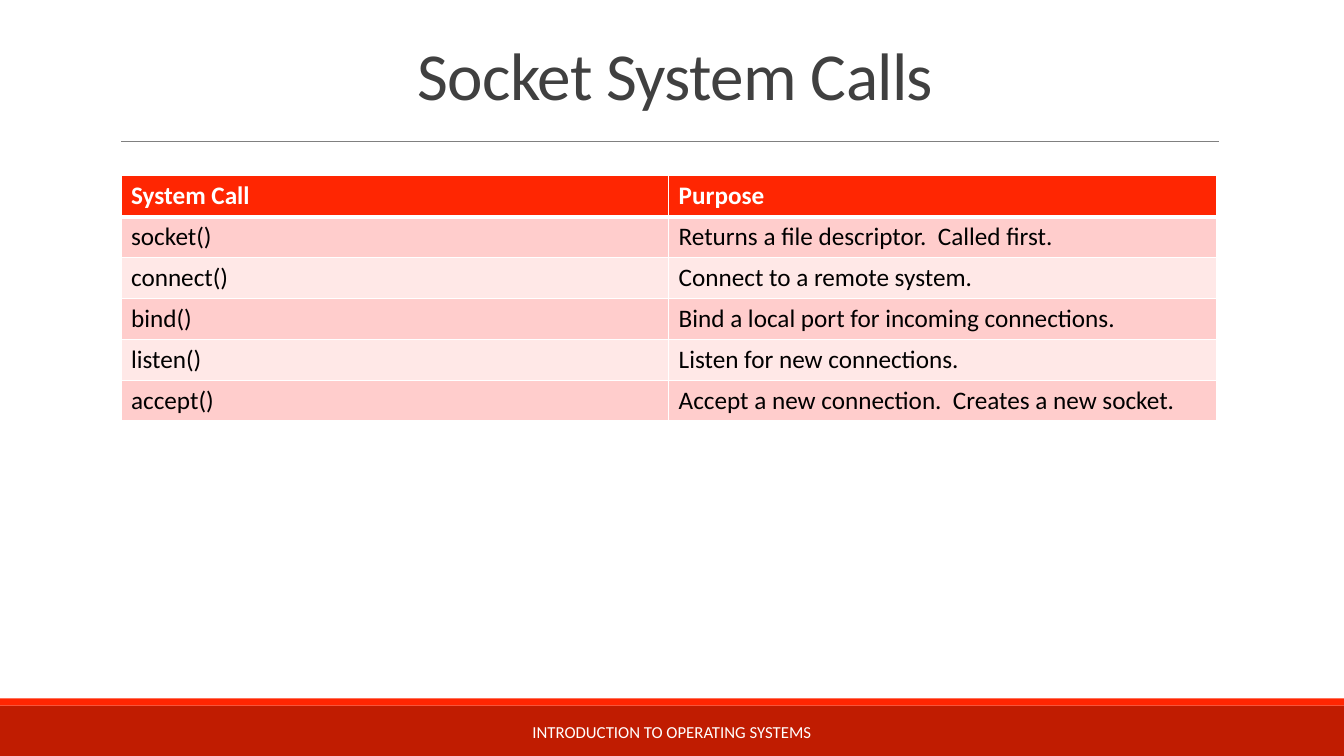
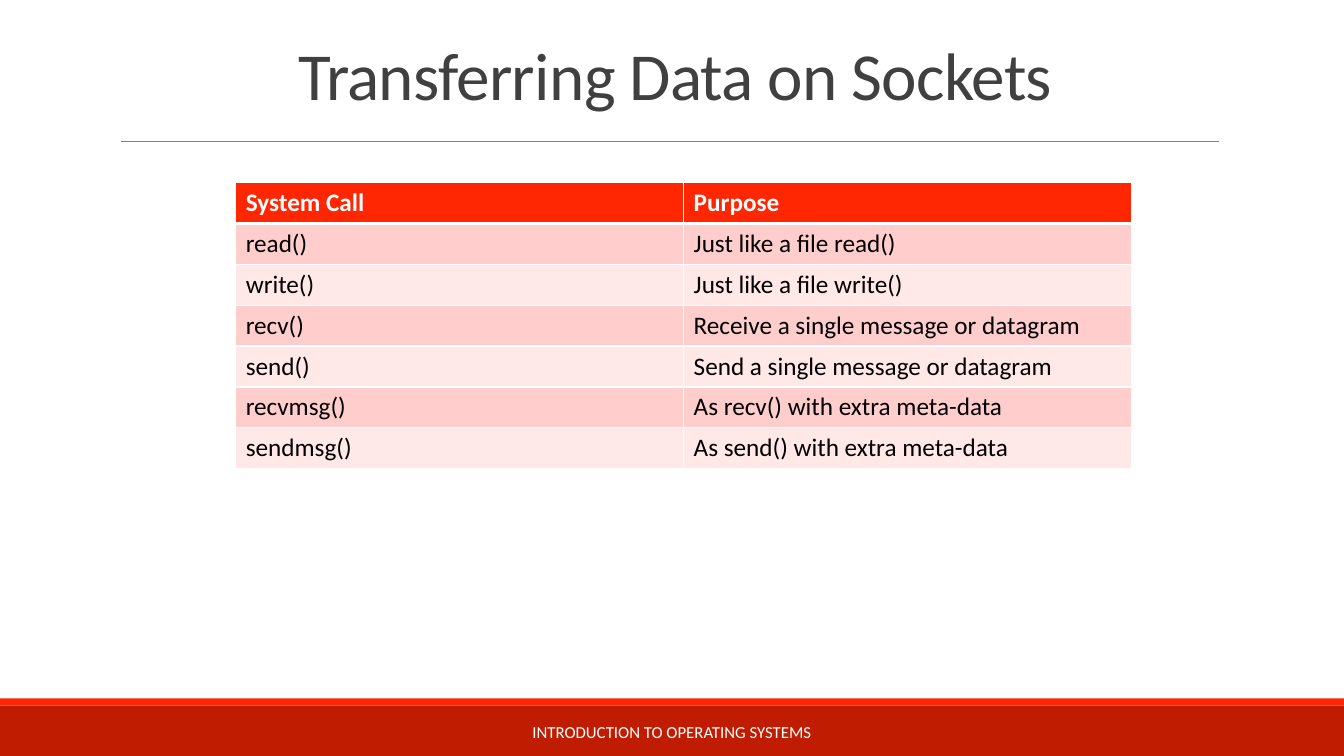
"""Builds two slides that list socket system calls in tables."""
from lxml import etree
from pptx import Presentation
from pptx.dml.color import RGBColor
from pptx.enum.shapes import MSO_CONNECTOR, MSO_SHAPE
from pptx.enum.text import MSO_ANCHOR, PP_ALIGN
from pptx.oxml.ns import qn
from pptx.util import Cm, Pt

RECTANGLE = MSO_SHAPE.RECTANGLE
STRAIGHT = MSO_CONNECTOR.STRAIGHT
MIDDLE = MSO_ANCHOR.MIDDLE
CENTER = PP_ALIGN.CENTER

WHITE = RGBColor(0xFF, 0xFF, 0xFF)
BLACK = RGBColor(0x00, 0x00, 0x00)
DARK_GRAY = RGBColor(0x40, 0x40, 0x40)
GRAY = RGBColor(0x80, 0x80, 0x80)
RED = RGBColor(0xFF, 0x26, 0x02)
DARK_RED = RGBColor(0xC0, 0x1C, 0x01)
PINK = RGBColor(0xFF, 0xCD, 0xCC)
PALE_PINK = RGBColor(0xFF, 0xE8, 0xE7)

WIDTH, HEIGHT = Cm(33.87), Cm(19.05)
MARGIN = 3.05
ROW_HEIGHT = Cm(1.03)
FOOTER = "INTRODUCTION TO OPERATING SYSTEMS"
HEADER = ("System Call", "Purpose")

TITLE_STYLE = {"size": Pt(48), "color": DARK_GRAY}
FOOTER_STYLE = {"size": Pt(12), "color": WHITE}
HEADER_STYLE = {"size": Pt(18), "color": WHITE, "bold": True}
BODY_STYLE = {"size": Pt(18), "color": BLACK, "bold": False}

TABLE_SLIDES = [
    {
        "title": "Socket System Calls",
        "left": MARGIN, "top": 4.43, "column_width": 13.8,
        "calls": [
            ("socket()", "Returns a file descriptor.  Called first."),
            ("connect()", "Connect to a remote system."),
            ("bind()", "Bind a local port for incoming connections."),
            ("listen()", "Listen for new connections."),
            ("accept()", "Accept a new connection.  Creates a new socket."),
        ],
    },
    {
        "title": "Transferring Data on Sockets",
        "left": 5.94, "top": 4.6, "column_width": 11.29,
        "calls": [
            ("read()", "Just like a file read()"),
            ("write()", "Just like a file write()"),
            ("recv()", "Receive a single message or datagram"),
            ("send()", "Send a single message or datagram"),
            ("recvmsg()", "As recv() with extra meta-data"),
            ("sendmsg()", "As send() with extra meta-data"),
        ],
    },
]


class Deck:
    """Holds the shared style and the current slide."""

    def __init__(self):
        """Start an empty presentation."""
        self.presentation = Presentation()
        self.presentation.slide_width = WIDTH
        self.presentation.slide_height = HEIGHT
        self.slide = None

    def add_slide(self, title):
        """Add a slide with its bands, rule, title and footer."""
        layout = self.presentation.slide_layouts[6]
        self.slide = self.presentation.slides.add_slide(layout)
        self.band(17.78, 1.27, DARK_RED)
        self.band(17.6, 0.18, RED)
        self.rule(MARGIN, 30.73, 3.56)
        paragraph = self.text(title, (MARGIN, 0.79, 27.94, 2.44), TITLE_STYLE)
        paragraph.line_spacing = 0.85
        paragraph.runs[0].font._element.set("spc", "-50")
        self.text(FOOTER, (10.24, 17.93, 13.39, 1.02), FOOTER_STYLE)

    def band(self, top, height, color):
        """Draw a band across the whole slide."""
        shape = self.slide.shapes.add_shape(
            RECTANGLE, 0, Cm(top), WIDTH, Cm(height))
        shape.shadow.inherit = False
        shape.fill.solid()
        shape.fill.fore_color.rgb = color
        shape.line.fill.background()

    def rule(self, left, right, top):
        """Draw the thin line under the title."""
        connector = self.slide.shapes.add_connector(
            STRAIGHT, Cm(left), Cm(top), Cm(right), Cm(top))
        connector.line.color.rgb = GRAY
        connector.line.width = Pt(0.5)
        etree.SubElement(connector._element.spPr, qn("a:effectLst"))

    def text(self, text, box, style):
        """Add a centred text box and return its paragraph."""
        frame = self.slide.shapes.add_textbox(*map(Cm, box)).text_frame
        frame.word_wrap = True
        frame.vertical_anchor = MIDDLE
        paragraph = frame.paragraphs[0]
        paragraph.alignment = CENTER
        self.styled_run(paragraph, text, style)
        return paragraph

    def styled_run(self, paragraph, text, style):
        """Add a run with the given format values."""
        run = paragraph.add_run()
        run.text = text
        run.font.name = "Calibri"
        for name, value in style.items():
            if name == "color":
                run.font.color.rgb = value
            else:
                setattr(run.font, name, value)

    def table(self, rows, left, top, column_width):
        """Add a table with a red header and banded rows."""
        columns = len(rows[0])
        table = self.slide.shapes.add_table(
            len(rows), columns, Cm(left), Cm(top),
            Cm(column_width) * columns, ROW_HEIGHT * len(rows)).table
        for column in table.columns:
            column.width = Cm(column_width)
        for row_index, row in enumerate(rows):
            fill = RED if row_index == 0 else (PALE_PINK, PINK)[row_index % 2]
            style = BODY_STYLE if row_index else HEADER_STYLE
            for column_index, text in enumerate(row):
                cell = table.cell(row_index, column_index)
                self.borders(cell, top=3 if row_index == 1 else 1,
                             bottom=1 if row_index else 3)
                cell.fill.solid()
                cell.fill.fore_color.rgb = fill
                self.styled_run(cell.text_frame.paragraphs[0], text, style)

    def borders(self, cell, top, bottom):
        """Give a cell white borders, widths in points."""
        properties = cell._tc.get_or_add_tcPr()
        for side, width in (("L", 1), ("R", 1), ("T", top), ("B", bottom)):
            line = etree.SubElement(
                properties, qn(f"a:ln{side}"), w=str(int(Pt(width))))
            fill = etree.SubElement(line, qn("a:solidFill"))
            etree.SubElement(fill, qn("a:srgbClr"), val=str(WHITE))


def main():
    """Build and save the slides."""
    deck = Deck()
    for content in TABLE_SLIDES:
        deck.add_slide(content["title"])
        deck.table([HEADER, *content["calls"]], content["left"],
                   content["top"], content["column_width"])
    deck.presentation.save("out.pptx")


if __name__ == "__main__":
    main()
